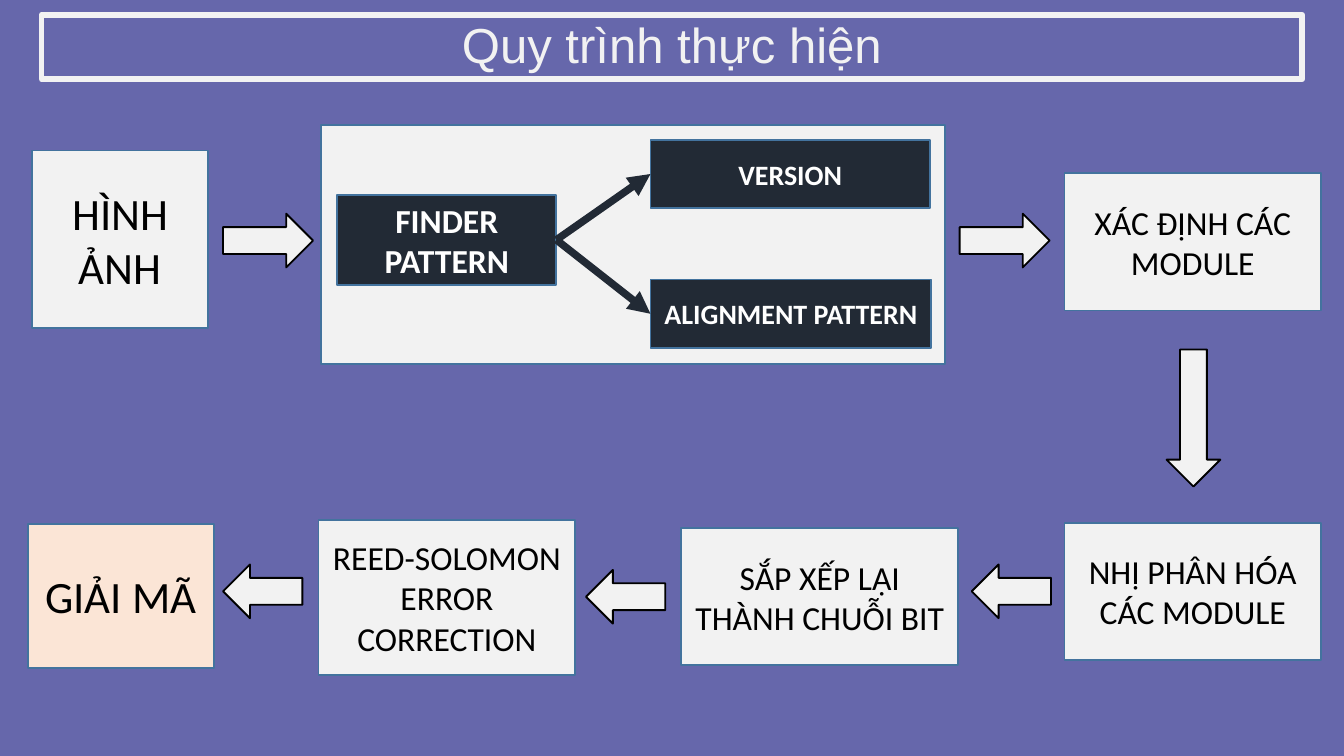
from dataclasses import dataclass
from lxml.etree import SubElement
from pptx import Presentation
from pptx.dml.color import RGBColor
from pptx.enum.shapes import MSO_CONNECTOR as Link, MSO_SHAPE as Kind
from pptx.enum.text import MSO_ANCHOR as Anchor, MSO_AUTO_SIZE as Fit, PP_ALIGN as Align
from pptx.oxml.ns import qn
from pptx.util import Pt

PX = 9144
WIDE = 1000 * PX
PURPLE = RGBColor(0x66, 0x67, 0xAB)
PALE = RGBColor(0xF2, 0xF2, 0xF2)
PEACH = RGBColor(0xFB, 0xE5, 0xD6)
NAVY = RGBColor(0x22, 0x2A, 0x35)
BLUE = RGBColor(0x43, 0x73, 0x9E)
BLACK = RGBColor(0, 0, 0)
WHITE = RGBColor(255, 255, 255)


@dataclass(frozen=True)
class Box:
    left: int
    top: int
    width: int
    height: int
    text: str = ""
    size: int = 18
    fill: RGBColor = PALE
    color: RGBColor = BLACK
    bold: bool = False


@dataclass(frozen=True)
class Arrow:
    left: int
    top: int
    width: int
    turn: int = 0


STEPS = [
    Box(24, 112, 131, 132, "HÌNH ẢNH", 24),
    Box(239, 93, 464, 178),
    Box(792, 129, 191, 102, "XÁC ĐỊNH CÁC MODULE"),
    Box(792, 389, 191, 102, "NHỊ PHÂN HÓA CÁC MODULE"),
    Box(507, 393, 206, 102, "SẮP XẾP LẠI THÀNH CHUỖI BIT"),
    Box(237, 387, 191, 115, "REED-SOLOMON ERROR CORRECTION"),
    Box(21, 390, 138, 107, "GIẢI MÃ", 24, PEACH),
]
FINDER = Box(251, 145, 163, 67, "FINDER PATTERN", 18, NAVY, WHITE, True)
PARTS = [
    Box(484, 104, 208, 51, "VERSION", 15, NAVY, WHITE, True),
    Box(484, 208, 209, 51, "ALIGNMENT PATTERN", 15, NAVY, WHITE, True),
]
ARROWS = [
    Arrow(166, 159, 67),
    Arrow(714, 159, 67),
    Arrow(837, 291, 102, 90),
    Arrow(723, 420, 59, 180),
    Arrow(436, 424, 59, 180),
    Arrow(166, 420, 59, 180),
]


def write(shape, text: str, *, size: float, color: RGBColor, face: str = "Calibri",
          bold: bool = False, anchor=Anchor.MIDDLE, space: float = 1.0) -> None:
    """Put centred, formatted text in a shape."""
    frame = shape.text_frame
    frame.word_wrap = True
    frame.auto_size = Fit.NONE
    frame.vertical_anchor = anchor
    para = frame.paragraphs[0]
    para.alignment = Align.CENTER
    para.line_spacing = space
    run = para.add_run()
    run.text = text
    font = run.font
    font.name, font.size, font.bold = face, Pt(size), bold
    font.color.rgb = color


def place(shapes, kind, item, height: int, fill: RGBColor, line: RGBColor):
    """Add a filled and outlined preset shape."""
    shape = shapes.add_shape(kind, item.left * PX, item.top * PX, item.width * PX, height * PX)
    shape.shadow.inherit = False
    shape.fill.solid()
    shape.fill.fore_color.rgb = fill
    shape.line.color.rgb = line
    shape.line.width = Pt(1)
    return shape


def draw_box(shapes, box: Box):
    """Draw one step of the process."""
    shape = place(shapes, Kind.RECTANGLE, box, box.height, box.fill, BLUE)
    if box.text:
        write(shape, box.text, size=box.size, color=box.color, bold=box.bold)
    return shape


def draw_arrow(shapes, arrow: Arrow) -> None:
    """Draw one block arrow between steps."""
    shape = place(shapes, Kind.RIGHT_ARROW, arrow, 40, PALE, BLACK)
    shape.rotation = arrow.turn


def join(shapes, start, end) -> None:
    """Link the right side of one box to the left side of another."""
    link = shapes.add_connector(Link.STRAIGHT, 0, 0, 0, 0)
    link.begin_connect(start, 3)
    link.end_connect(end, 1)
    link.line.color.rgb = NAVY
    link.line.width = Pt(4)
    props = link._element.spPr
    SubElement(props.find(qn("a:ln")), qn("a:tailEnd"), type="triangle")
    SubElement(props, qn("a:effectLst"))


def set_title(title, text: str) -> None:
    """Move, frame and fill the title."""
    title.left, title.top, title.width, title.height = (n * PX for n in (31, 11, 938, 48))
    title.line.color.rgb = PALE
    title.line.width = Pt(3)
    frame = title.text_frame
    frame.margin_left = frame.margin_right = 7 * PX
    frame.margin_top = frame.margin_bottom = 4 * PX
    write(title, text, size=26.3, color=PALE, face="Arial", anchor=Anchor.BOTTOM, space=0.9)


def main() -> None:
    """Build the process slide."""
    deck = Presentation()
    deck.slide_width, deck.slide_height = WIDE, WIDE * 9 // 16
    slide = deck.slides.add_slide(deck.slide_layouts[5])
    slide.background.fill.solid()
    slide.background.fill.fore_color.rgb = PURPLE
    shapes = slide.shapes
    set_title(shapes.title, "Quy trình thực hiện")
    for step in STEPS:
        draw_box(shapes, step)
    finder = draw_box(shapes, FINDER)
    for part in PARTS:
        join(shapes, finder, draw_box(shapes, part))
    for arrow in ARROWS:
        draw_arrow(shapes, arrow)
    deck.save("out.pptx")


if __name__ == "__main__":
    main()
